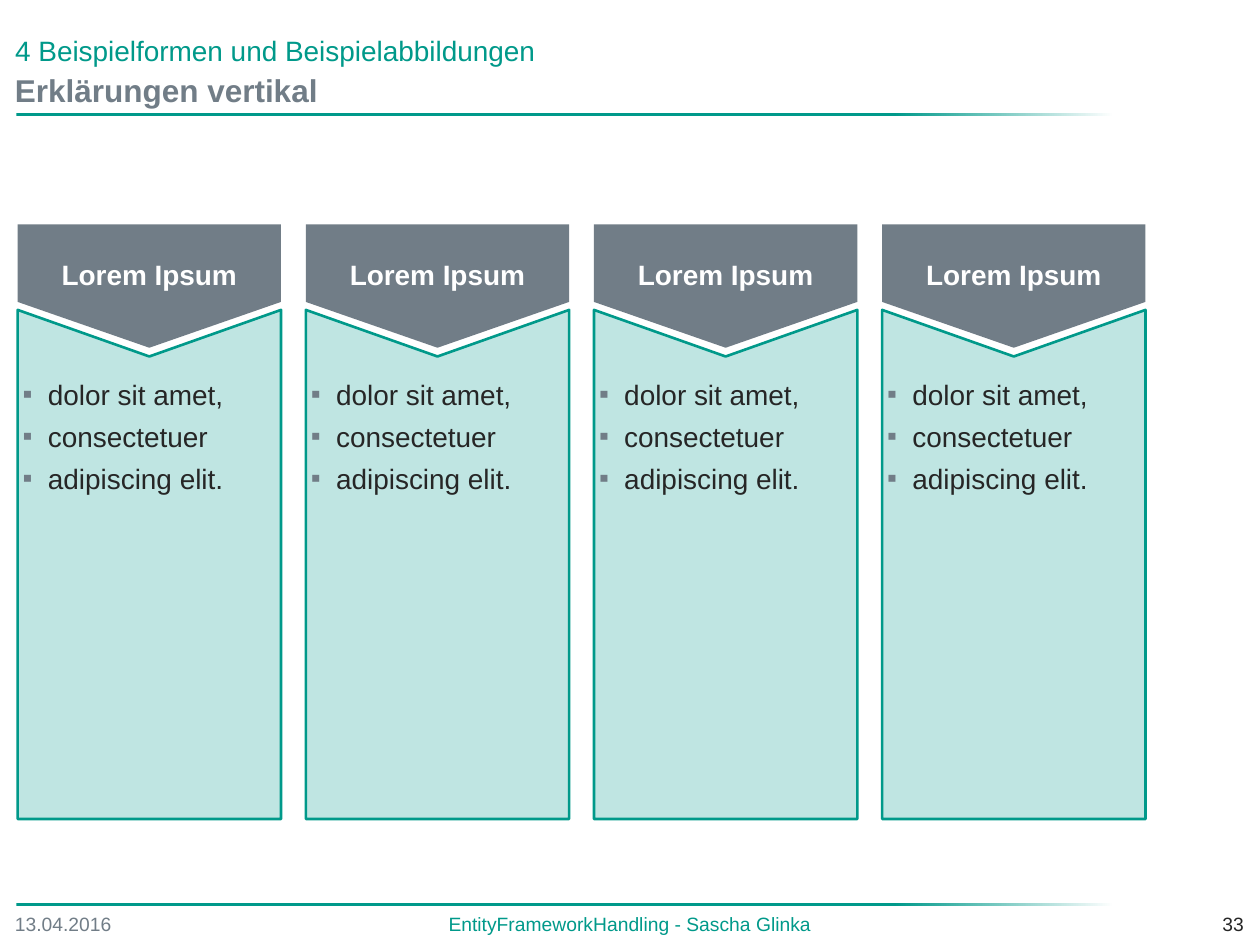
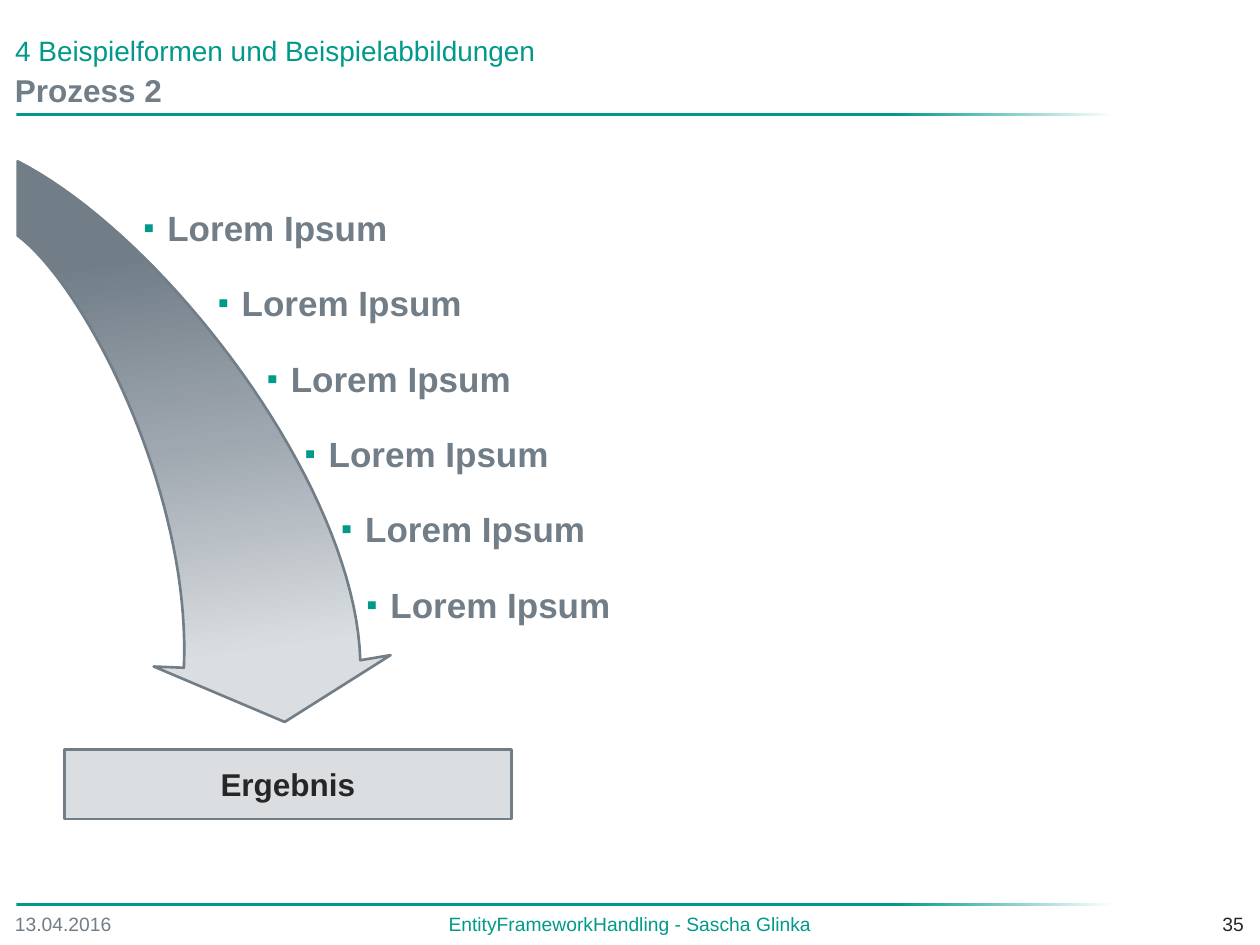
from dataclasses import dataclass

from lxml import etree
from pptx import Presentation
from pptx import util as u
from pptx.dml.color import RGBColor
from pptx.enum import shapes, text
from pptx.oxml.ns import qn

Point = tuple[float, float]
ALIGN = text.PP_ALIGN
ANCHOR = text.MSO_ANCHOR


@dataclass(frozen=True)
class Theme:
    font: str = "Arial"
    teal: str = "00998A"
    pale_teal: str = "BFE5E2"
    grey: str = "717D87"
    mid_grey: str = "9EA7AF"
    pale_grey: str = "DBDEE1"
    dark: str = "262626"
    white: str = "FFFFFF"
    footer_size: float = 11
    text_size: float = 16
    heading_size: float = 18
    list_size: float = 20
    outline: float = 1.5


THEME = Theme()


@dataclass(frozen=True)
class Area:
    left: float
    top: float
    width: float
    height: float

    def lengths(self) -> list[int]:
        return [u.Inches(n) for n in (self.left, self.top, self.width, self.height)]


@dataclass(frozen=True)
class Style:
    size: float
    color: str
    bold: bool = False
    align: ALIGN = ALIGN.LEFT


@dataclass(frozen=True)
class Label:
    words: str
    area: Area
    style: Style


@dataclass(frozen=True)
class Column:
    heading: str
    points: tuple[str, ...]


@dataclass(frozen=True)
class Step:
    words: str
    indent: float


CHAPTER = Label("4 Beispielformen und Beispielabbildungen",
                Area(0.02, 0.19, 8.68, 0.39), Style(THEME.text_size, THEME.teal))
SUBTITLE_AREA = Area(0.02, 0.48, 8.7, 0.39)
SUBTITLE_STYLE = Style(THEME.heading_size, THEME.grey, True)
FOOTERS = (
    Label("13.04.2016", Area(0.02, 7.19, 1.67, 0.31), Style(THEME.footer_size, THEME.grey)),
    Label("EntityFrameworkHandling - Sascha Glinka", Area(1.96, 7.19, 6.08, 0.31),
          Style(THEME.footer_size, THEME.teal, align=ALIGN.CENTER)),
)
NUMBER_AREA = Area(8.3, 7.19, 1.67, 0.31)
NUMBER_STYLE = Style(THEME.footer_size, THEME.dark, align=ALIGN.RIGHT)
RULES = (Area(0.13, 0.9, 8.71, 0.02), Area(0.13, 7.17, 8.71, 0.02))
RULE_STOPS = ((0, THEME.teal), (80, THEME.teal), (100, THEME.white))

COLUMNS = (Column("Lorem Ipsum", ("dolor sit amet,", "consectetuer", "adipiscing elit.")),) * 4
COLUMN_LEFT, COLUMN_WIDTH, COLUMN_STEP = 0.14, 2.09, 2.287
HEAD_TOP, HEAD_HEIGHT = 1.78, 0.98
PANEL_TOP, PANEL_TIP, PANEL_BOTTOM = 2.46, 2.83, 6.5

STEPS = tuple(Step("Lorem Ipsum", indent) for indent in (0.88, 1.47, 1.86, 2.16, 2.45, 2.65))
ARROW_STOPS = ((18, THEME.grey), (50, THEME.mid_grey), (86, THEME.pale_grey))
ARROW_TILT = 81.9


def write(para, words: str, style: Style) -> None:
    para.alignment = style.align
    span = para.add_run()
    span.text = words
    span.font.name = THEME.font
    span.font.size = u.Pt(style.size)
    span.font.bold = style.bold
    span.font.color.rgb = RGBColor.from_string(style.color)


def set_frame(frame, margins: tuple[float, ...] = (0.1, 0.05, 0.1, 0.05),
              anchor: ANCHOR = ANCHOR.TOP) -> None:
    """Wrap the text; margins run left, top, right, bottom."""
    frame.word_wrap = True
    frame.auto_size = text.MSO_AUTO_SIZE.NONE
    frame.vertical_anchor = anchor
    (frame.margin_left, frame.margin_top,
     frame.margin_right, frame.margin_bottom) = map(u.Inches, margins)


def add_label(page, label: Label, top_margin: float = 0.05) -> None:
    box = page.shapes.add_textbox(*label.area.lengths())
    set_frame(box.text_frame, (0.1, top_margin, 0.1, 0.05))
    write(box.text_frame.paragraphs[0], label.words, label.style)


def add_bullet(para, color: str, percent: int, indent: float, hang: float) -> None:
    properties = para._p.get_or_add_pPr()
    properties.set("marL", str(u.Inches(indent)))
    properties.set("indent", str(-u.Inches(hang)))
    bullet_color = etree.SubElement(properties, qn("a:buClr"))
    etree.SubElement(bullet_color, qn("a:srgbClr"), val=color)
    etree.SubElement(properties, qn("a:buSzPct"), val=str(percent * 1000))
    etree.SubElement(properties, qn("a:buFont"), typeface=THEME.font)
    etree.SubElement(properties, qn("a:buChar"), char="▪")


def paint(shape, fill: str, line: str | None = None) -> None:
    shape.fill.solid()
    shape.fill.fore_color.rgb = RGBColor.from_string(fill)
    outline(shape, line)


def outline(shape, line: str | None) -> None:
    shape.shadow.inherit = False
    if line is None:
        shape.line.fill.background()
    else:
        shape.line.color.rgb = RGBColor.from_string(line)
        shape.line.width = u.Pt(THEME.outline)


def paint_gradient(shape, stops: tuple[tuple[int, str], ...], clockwise: float = 0) -> None:
    shape.fill.gradient()
    shape.fill.gradient_angle = (360 - clockwise) % 360
    stop_list = shape._element.spPr.find(qn("a:gradFill")).find(qn("a:gsLst"))
    for old_stop in list(stop_list):
        stop_list.remove(old_stop)
    for percent, color in stops:
        stop = etree.SubElement(stop_list, qn("a:gs"), pos=str(percent * 1000))
        etree.SubElement(stop, qn("a:srgbClr"), val=color)


def add_outline_shape(page, points: list[Point]):
    """Add a closed freeform through points given in inches."""
    corners = [(u.Inches(x), u.Inches(y)) for x, y in points]
    builder = page.shapes.build_freeform(*corners[0])
    builder.add_line_segments(corners[1:], close=True)
    return builder.convert_to_shape()


def curve(start: Point, pull_a: Point, pull_b: Point, end: Point, parts: int = 40) -> list[Point]:
    """Points along a cubic Bezier curve."""
    points = []
    for index in range(parts + 1):
        t = index / parts
        weights = ((1 - t) ** 3, 3 * t * (1 - t) ** 2, 3 * t * t * (1 - t), t ** 3)
        x, y = (sum(w * p[axis] for w, p in zip(weights, (start, pull_a, pull_b, end)))
                for axis in (0, 1))
        points.append((x, y))
    return points


def add_page(deck, subtitle: str, number: int):
    """Add a page with the shared title, rules and footers."""
    page = deck.slides.add_slide(deck.slide_layouts[5])
    for area in RULES:
        rule = page.shapes.add_shape(shapes.MSO_SHAPE.RECTANGLE, *area.lengths())
        paint_gradient(rule, RULE_STOPS)
        outline(rule, None)
    title = page.shapes.title
    title.left, title.top, title.width, title.height = CHAPTER.area.lengths()
    set_frame(title.text_frame, anchor=ANCHOR.BOTTOM)
    write(title.text_frame.paragraphs[0], CHAPTER.words, CHAPTER.style)
    add_label(page, Label(subtitle, SUBTITLE_AREA, SUBTITLE_STYLE), top_margin=0.08)
    for footer in (*FOOTERS, Label(str(number), NUMBER_AREA, NUMBER_STYLE)):
        add_label(page, footer)
    return page


def add_column(page, column: Column, left: float) -> None:
    right, middle = left + COLUMN_WIDTH, left + COLUMN_WIDTH / 2
    # The plate is turned by 90 degrees, so its sides are swapped around its centre.
    plate = Area(middle - HEAD_HEIGHT / 2, HEAD_TOP + (HEAD_HEIGHT - COLUMN_WIDTH) / 2,
                 HEAD_HEIGHT, COLUMN_WIDTH)
    head = page.shapes.add_shape(shapes.MSO_SHAPE.PENTAGON, *plate.lengths())
    head.rotation = 90
    head.adjustments[0] = 0.371
    paint(head, THEME.grey)
    set_frame(head.text_frame, (0, 0, 0, 0), ANCHOR.MIDDLE)
    head.text_frame._txBody.bodyPr.set("vert", "vert270")
    write(head.text_frame.paragraphs[0], column.heading,
          Style(THEME.text_size, THEME.white, True, ALIGN.CENTER))

    panel = add_outline_shape(page, [(right, PANEL_TOP), (right, PANEL_BOTTOM),
                                     (left, PANEL_BOTTOM), (left, PANEL_TOP),
                                     (middle, PANEL_TIP)])
    paint(panel, THEME.pale_teal, THEME.teal)
    frame = panel.text_frame
    set_frame(frame, (0.04, 0.47, 0.12, 0.05))
    for index, words in enumerate(column.points):
        para = frame.add_paragraph() if index else frame.paragraphs[0]
        add_bullet(para, THEME.grey, 100, 0.2, 0.2)
        para.line_spacing = 1.25
        write(para, words, Style(THEME.text_size, THEME.dark, align=ALIGN.JUSTIFY))


def add_steps(page) -> None:
    box = page.shapes.add_textbox(*Area(0.35, 1.56, 8.62, 3.98).lengths())
    frame = box.text_frame
    set_frame(frame, (0.1, 0.08, 0.1, 0.05))
    for index, step in enumerate(STEPS):
        para = frame.add_paragraph() if index else frame.paragraphs[0]
        add_bullet(para, THEME.teal, 90, step.indent, 0.19)
        para.space_before = u.Pt(13 if index else 0)
        para.space_after = u.Pt(6)
        write(para, step.words, Style(THEME.list_size, THEME.grey, True))


def add_bent_arrow(page) -> None:
    outer_edge = curve((0.14, 1.28), (1.31, 1.88), (2.82, 3.85), (2.86, 5.24))
    tip = [(3.1, 5.2), (2.26, 5.73), (1.22, 5.29)]
    inner_edge = curve((1.46, 5.3), (1.52, 3.89), (0.66, 2.25), (0.14, 1.87))
    arrow = add_outline_shape(page, outer_edge + tip + inner_edge)
    paint_gradient(arrow, ARROW_STOPS, ARROW_TILT)
    outline(arrow, THEME.grey)


def add_result(page) -> None:
    result = page.shapes.add_shape(shapes.MSO_SHAPE.RECTANGLE,
                                   *Area(0.51, 5.95, 3.55, 0.55).lengths())
    paint(result, THEME.pale_grey, THEME.grey)
    set_frame(result.text_frame, anchor=ANCHOR.MIDDLE)
    write(result.text_frame.paragraphs[0], "Ergebnis",
          Style(THEME.heading_size, THEME.dark, True, ALIGN.CENTER))


def main() -> None:
    deck = Presentation()
    deck.slide_width, deck.slide_height = u.Inches(10), u.Inches(7.5)

    explanations = add_page(deck, "Erklärungen vertikal", 33)
    for index, column in enumerate(COLUMNS):
        add_column(explanations, column, COLUMN_LEFT + index * COLUMN_STEP)

    process = add_page(deck, "Prozess 2", 35)
    add_steps(process)
    add_bent_arrow(process)
    add_result(process)

    deck.save("out.pptx")


if __name__ == "__main__":
    main()
